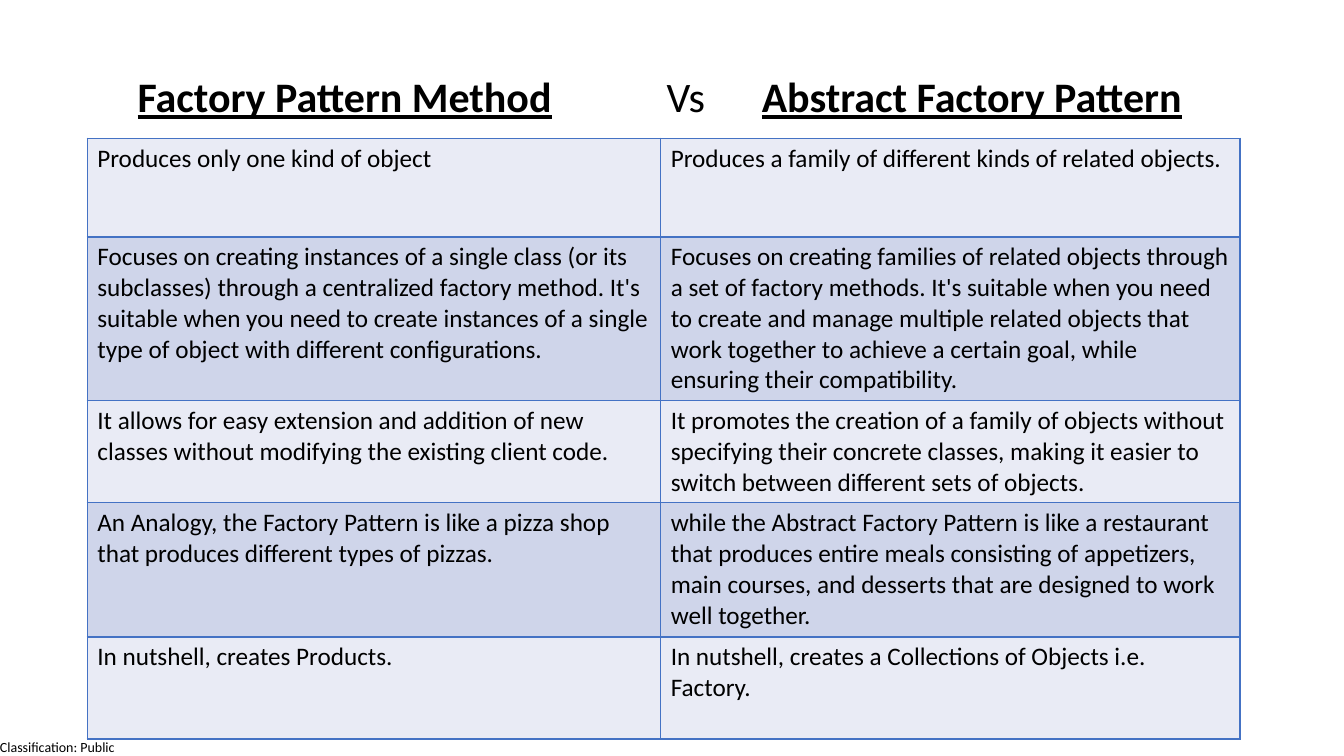
from lxml.etree import SubElement
from pptx import Presentation
from pptx.dml.color import RGBColor
from pptx.enum.text import MSO_ANCHOR, MSO_AUTO_SIZE
from pptx.oxml.ns import qn
from pptx.util import Cm, Pt

FONT = "Calibri"
COLORS = {"text": "000000", "border": "4472C4", "light": "E9EBF5", "dark": "CFD5EA"}

# text, bold, underlined
TITLE = [
    ("\t", True, False),
    ("Factory Pattern Method", True, True),
    ("\tVs\t", False, False),
    ("Abstract Factory Pattern", True, True),
]
TITLE_TABS_CM = [1.19, 14.52, 16.92]

CLASSIFICATION = "Classification: Public"

# row height in cm, factory method, abstract factory
COMPARISON = [
    (2.49, "Produces only one kind of object",
     "Produces a family of different kinds of related objects."),
    (4.13, "Focuses on creating instances of a single class (or its subclasses) through "
     "a centralized factory method. It's suitable when you need to create instances of "
     "a single type of object with different configurations.",
     "Focuses on creating families of related objects through a set of factory methods. "
     "It's suitable when you need to create and manage multiple related objects that "
     "work together to achieve a certain goal, while ensuring their compatibility."),
    (2.57, "It allows for easy extension and addition of new classes without modifying "
     "the existing client code.",
     "It promotes the creation of a family of objects without specifying their concrete "
     "classes, making it easier to switch between different sets of objects."),
    (3.38, "An Analogy, the Factory Pattern is like a pizza shop that produces different "
     "types of pizzas.",
     "while the Abstract Factory Pattern is like a restaurant that produces entire meals "
     "consisting of appetizers, main courses, and desserts that are designed to work "
     "well together."),
    (2.57, "In nutshell, creates Products.",
     "In nutshell, creates a Collections of Objects i.e. Factory."),
]
COLUMN_WIDTHS_CM = [14.45, 14.6]
TABLE_LEFT_CM, TABLE_TOP_CM = 2.2, 3.48


def color(name):
    return RGBColor.from_string(COLORS[name])


def set_font(para, size):
    para.font.name = FONT
    para.font.size = Pt(size)
    para.font.color.rgb = color("text")


def add_box(slide, left, top, width, height):
    box = slide.shapes.add_textbox(Cm(left), Cm(top), Cm(width), Cm(height))
    box.text_frame.word_wrap = True
    return box.text_frame


def add_title(slide):
    frame = add_box(slide, 2.03, 0.66, 29.21, 3.68)
    frame.vertical_anchor = MSO_ANCHOR.MIDDLE
    para = frame.paragraphs[0]
    para.line_spacing = 0.9
    tabs = SubElement(para._p.get_or_add_pPr(), qn("a:tabLst"))
    for position in TITLE_TABS_CM:
        SubElement(tabs, qn("a:tab"), pos=str(Cm(position)), algn="l")
    set_font(para, 30)
    for text, bold, underlined in TITLE:
        span = para.add_run()
        span.text = text
        span.font.bold = bold
        span.font.underline = underlined


def add_borders(cell):
    properties = cell._tc.get_or_add_tcPr()
    for side in ("lnL", "lnR", "lnT", "lnB"):
        line = SubElement(properties, qn(f"a:{side}"), w=str(Pt(1)))
        fill = SubElement(line, qn("a:solidFill"))
        SubElement(fill, qn("a:srgbClr"), val=COLORS["border"])


def add_comparison(slide):
    heights = [row[0] for row in COMPARISON]
    table = slide.shapes.add_table(
        len(COMPARISON), len(COLUMN_WIDTHS_CM), Cm(TABLE_LEFT_CM), Cm(TABLE_TOP_CM),
        Cm(sum(COLUMN_WIDTHS_CM)), Cm(sum(heights))).table
    table.first_row = table.horz_banding = False
    for column, width in zip(table.columns, COLUMN_WIDTHS_CM):
        column.width = Cm(width)
    for index, (height, *texts) in enumerate(COMPARISON):
        table.rows[index].height = Cm(height)
        for cell, text in zip(table.rows[index].cells, texts):
            add_borders(cell)
            cell.fill.solid()
            cell.fill.fore_color.rgb = color("dark" if index % 2 else "light")
            cell.text = text
            set_font(cell.text_frame.paragraphs[0], 18)


def add_classification(slide):
    frame = add_box(slide, 0, 18.62, 2.97, 0.43)
    frame.margin_left = frame.margin_top = frame.margin_right = frame.margin_bottom = 0
    frame.auto_size = MSO_AUTO_SIZE.SHAPE_TO_FIT_TEXT
    frame.text = CLASSIFICATION
    set_font(frame.paragraphs[0], 10)


def main():
    deck = Presentation()
    deck.slide_width, deck.slide_height = Cm(33.87), Cm(19.05)
    slide = deck.slides.add_slide(deck.slide_layouts[6])
    add_classification(slide)
    add_title(slide)
    add_comparison(slide)
    deck.save("out.pptx")


if __name__ == "__main__":
    main()
